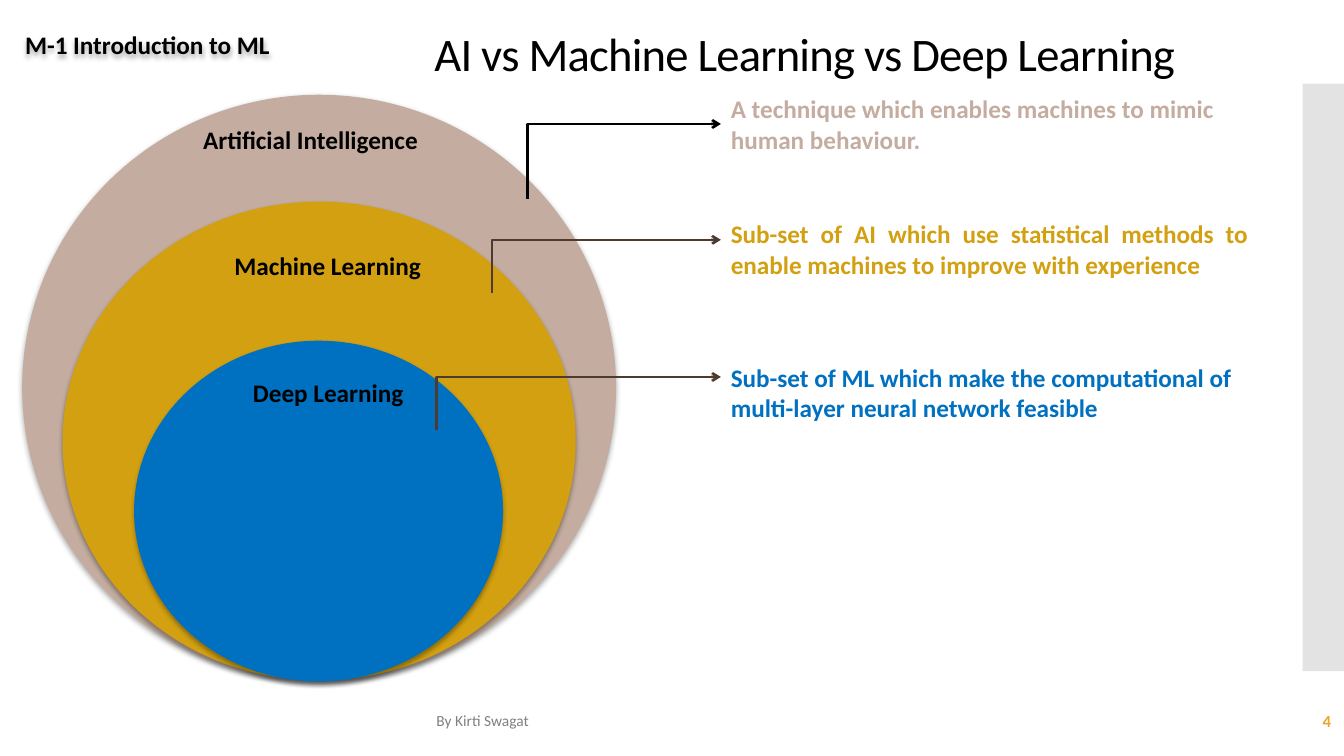
"""Builds the slide comparing AI, machine learning and deep learning."""
from dataclasses import dataclass

import lxml.etree
import pptx
import pptx.dml.color
import pptx.enum.shapes
import pptx.enum.text
import pptx.oxml.ns
import pptx.util

Inches = pptx.util.Inches
Pt = pptx.util.Pt
ALIGN = pptx.enum.text.PP_ALIGN
ANCHOR = pptx.enum.text.MSO_ANCHOR
SHAPE = pptx.enum.shapes.MSO_SHAPE
qn = pptx.oxml.ns.qn

COLORS = {
    "black": "000000", "brown": "4E3B30", "gray": "808080", "strip": "C8C8C8",
    "orange": "F0A22E", "ai": "C4ADA0", "ml": "D2A010", "dl": "0070C0",
}
TEXT_LEFT = 7.15


@dataclass
class Label:
    text: str
    box: tuple[float, float, float, float]
    color: str = "black"
    size: float = 18
    bold: bool = True
    align: ALIGN = ALIGN.LEFT
    anchor: ANCHOR = ANCHOR.TOP


@dataclass
class Ring:
    color: str
    box: tuple[float, float, float, float]
    name: Label
    meaning: Label
    arrow_start: tuple[float, float]
    arrow_end_y: float
    arrow_color: str


def rgb(name: str) -> pptx.dml.color.RGBColor:
    return pptx.dml.color.RGBColor.from_string(COLORS[name])


def add_alpha(parent, percent: int) -> None:
    color = next(parent.iter(qn("a:srgbClr")))
    lxml.etree.SubElement(color, qn("a:alpha"), val=str(percent * 1000))


def add_shadow(sp) -> None:
    sp.shadow.inherit = False
    effects = sp._element.spPr.find(qn("a:effectLst"))
    outer = lxml.etree.SubElement(
        effects, qn("a:outerShdw"), blurRad=str(Pt(3.5)), dist=str(Pt(2.2)),
        dir="5400000", algn="ctr", rotWithShape="0")
    lxml.etree.SubElement(outer, qn("a:srgbClr"), val=COLORS["black"])
    add_alpha(outer, 32)


def add_label(s, label: Label):
    sp = s.shapes.add_textbox(*map(Inches, label.box))
    tf = sp.text_frame
    tf.word_wrap = True
    tf.vertical_anchor = label.anchor
    p = tf.paragraphs[0]
    p.text = label.text
    p.alignment = label.align
    p.font.name = "Calibri"
    p.font.size = Pt(label.size)
    p.font.bold = label.bold
    p.font.color.rgb = rgb(label.color)
    return sp


def add_filled(s, kind: SHAPE, box: tuple[float, float, float, float], color: str):
    sp = s.shapes.add_shape(kind, *map(Inches, box))
    sp.fill.solid()
    sp.fill.fore_color.rgb = rgb(color)
    sp.line.fill.background()
    sp.shadow.inherit = False
    return sp


def add_arrow(s, ring: Ring) -> None:
    x, y = ring.arrow_start
    sp = s.shapes.add_connector(
        pptx.enum.shapes.MSO_CONNECTOR.ELBOW,
        Inches(x), Inches(y), Inches(TEXT_LEFT), Inches(ring.arrow_end_y))
    sp.line.color.rgb = rgb(ring.arrow_color)
    sp.line.width = Pt(1.75)
    spPr = sp._element.spPr
    bend = next(spPr.iter(qn("a:avLst")))
    lxml.etree.SubElement(bend, qn("a:gd"), name="adj1", fmla="val 0")
    lxml.etree.SubElement(spPr.find(qn("a:ln")), qn("a:tailEnd"), type="arrow")
    lxml.etree.SubElement(spPr, qn("a:effectLst"))


def ring_name(text: str, left: float, top: float, width: float) -> Label:
    return Label(text, (left, top, width, 0.4), align=ALIGN.CENTER)


def meaning(text: str, top: float, color: str, align: ALIGN = ALIGN.LEFT) -> Label:
    return Label(text, (TEXT_LEFT, top, 5.33, 0.71), color, align=align)


RINGS = [
    Ring("ai", (0.22, 0.94, 5.89, 5.81),
         ring_name("Artificial Intelligence", 1.71, 1.18, 2.74),
         meaning("A technique which enables machines to mimic human behaviour.",
                 0.88, "ai"),
         (5.23, 1.97), 1.23, "black"),
    Ring("ml", (0.62, 2, 5.09, 4.75),
         ring_name("Machine Learning", 2.05, 2.43, 2.4),
         meaning("Sub-set of AI which use statistical methods to enable machines "
                 "to improve with experience", 2.12, "ml", ALIGN.JUSTIFY),
         (4.88, 2.91), 2.38, "brown"),
    Ring("dl", (1.33, 3.38, 3.66, 3.38),
         ring_name("Deep Learning", 2.31, 3.69, 1.89),
         meaning("Sub-set of ML which make the computational of multi-layer "
                 "neural network feasible", 3.54, "dl"),
         (4.33, 4.27), 3.74, "brown"),
]
HEADER = Label("M-1 Introduction to ML", (0.15, 0.24, 2.75, 0.4))
TITLE = Label("AI vs Machine Learning vs Deep Learning", (4.21, 0.24, 8.06, 0.63),
              size=33.3, bold=False, anchor=ANCHOR.MIDDLE)
FOOTERS = [
    Label("By Kirti Swagat", (4.23, 6.95, 6.46, 0.4), "gray", 11, False,
          anchor=ANCHOR.MIDDLE),
    Label("4", (11.63, 6.95, 1.67, 0.4), "orange", 12, align=ALIGN.RIGHT,
          anchor=ANCHOR.MIDDLE),
]


def main() -> None:
    prs = pptx.Presentation()
    prs.slide_width, prs.slide_height = Inches(13.33), Inches(7.5)
    s = prs.slides.add_slide(prs.slide_layouts[6])

    strip = add_filled(s, SHAPE.RECTANGLE, (12.92, 0.83, 0.41, 5.83), "strip")
    add_alpha(strip._element.spPr, 50)
    for footer in FOOTERS:
        add_label(s, footer)

    for ring in RINGS:
        add_shadow(add_filled(s, SHAPE.OVAL, ring.box, ring.color))
    for ring in RINGS:
        add_label(s, ring.name)
        add_label(s, ring.meaning)
        add_arrow(s, ring)

    add_shadow(add_label(s, HEADER))
    p = add_label(s, TITLE).text_frame.paragraphs[0]
    p.line_spacing = 0.9
    p.runs[0]._r.get_or_add_rPr().set("spc", "-60")
    prs.save("out.pptx")


if __name__ == "__main__":
    main()
